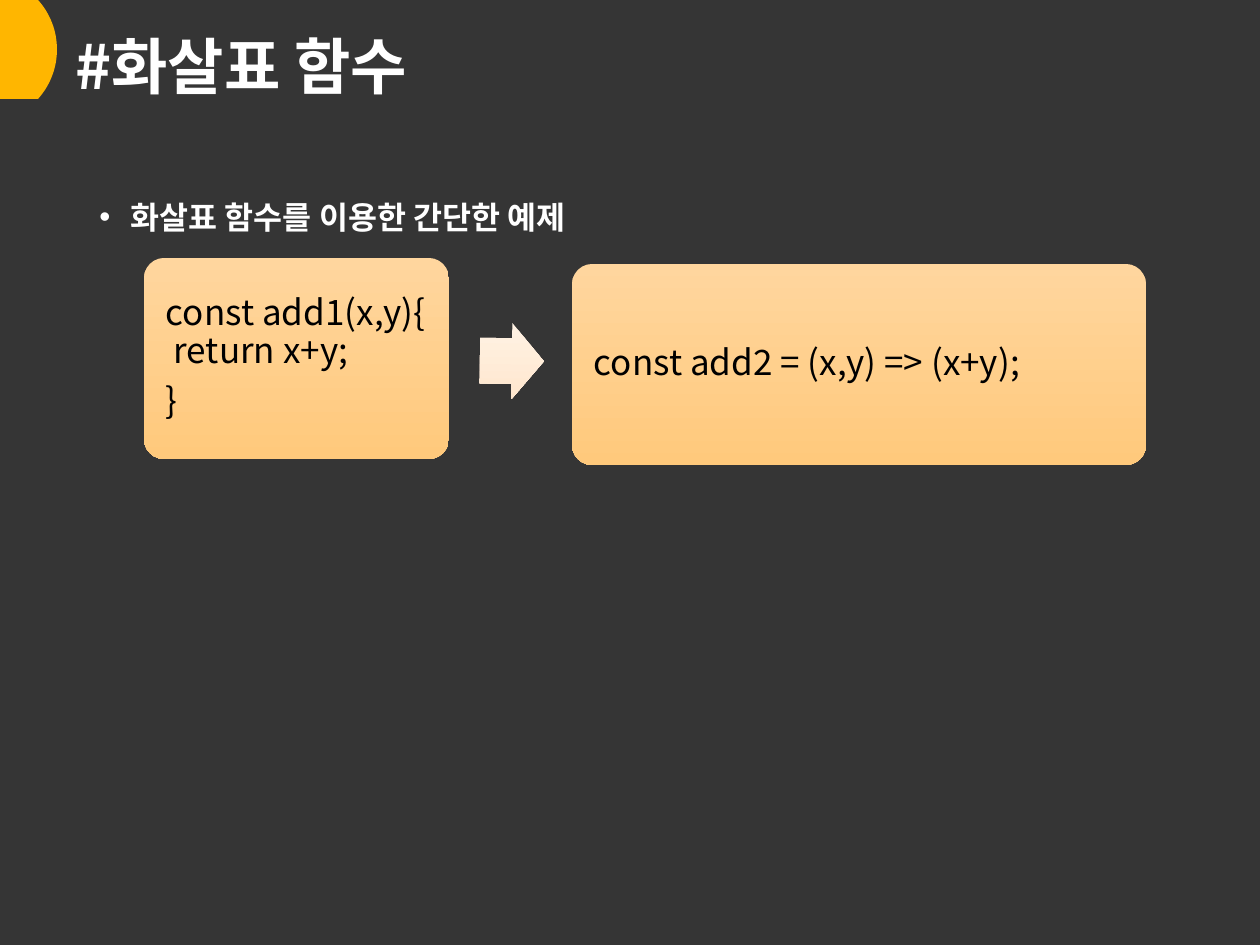
from math import asin, cos, sin

from lxml.etree import SubElement
from pptx import Presentation
from pptx.dml.color import RGBColor
from pptx.enum.shapes import MSO_SHAPE
from pptx.enum.text import MSO_ANCHOR, PP_ALIGN
from pptx.oxml.ns import qn
from pptx.util import Emu, Pt

FONT = "Noto Sans CJK KR"
COLORS = {
    "background": "353535", "accent": "FFB600", "light": "FFFFFF", "code": "000000",
    "box_top": "FFD69E", "box_bottom": "FFC97C",
    "arrow_top": "FFF2E4", "arrow_bottom": "FFE7CE",
}


def px(n):
    """Turn slide pixels into EMU."""
    return Emu(round(n * 914400 / 126))


def rgb(name):
    """Look up a named colour."""
    return RGBColor.from_string(COLORS[name])


def add_run(p, text, size, color, bold=False):
    """Append a styled run to a paragraph."""
    r = p.add_run()
    r.text = text
    r.font.size = Pt(size)
    r.font.name = FONT
    r.font.bold = bold
    r.font.color.rgb = rgb(color)
    SubElement(r.font._element, qn("a:ea")).set("typeface", FONT)


def add_text_box(s, x, y, w, h):
    """Add a wrapping text box and return its first paragraph."""
    tf = s.shapes.add_textbox(px(x), px(y), px(w), px(h)).text_frame
    tf.word_wrap = True
    return tf.paragraphs[0]


def add_gradient_shape(s, kind, x, y, w, h, top, bottom):
    """Add a borderless shape shaded from top to bottom."""
    sp = s.shapes.add_shape(kind, px(x), px(y), px(w), px(h))
    sp.shadow.inherit = False
    sp.line.fill.background()
    sp.fill.gradient()
    sp.fill.gradient_angle = 270
    for stop, color in zip(sp.fill.gradient_stops, (top, bottom)):
        stop.color.rgb = rgb(color)
    return sp


def add_corner_disc(s, x, y, w, h, radius):
    """Add a disc cut off by the left and top edges of its box."""
    cx, cy = x + w - radius, y + h / 2
    limit = asin(h / 2 / radius)
    angles = [limit * (i / 16 - 1) for i in range(33)]
    arc = [(px(cx + radius * cos(a)), px(cy + radius * sin(a))) for a in angles]
    builder = s.shapes.build_freeform(px(x), px(y))
    builder.add_line_segments(arc + [(px(x), px(y + h))], close=True)
    sp = builder.convert_to_shape()
    sp.shadow.inherit = False
    sp.fill.solid()
    sp.fill.fore_color.rgb = rgb("accent")
    sp.line.fill.background()


def add_title(s, x, y, w, h, text):
    """Add the slide title."""
    p = add_text_box(s, x, y, w, h)
    p.line_spacing = 0.9
    add_run(p, text, 35, "light", True)


def add_bullet(s, x, y, w, h, text):
    """Add the bulleted lead sentence."""
    p = add_text_box(s, x, y, w, h)
    p.line_spacing = 1.5
    p.space_before = Pt(10)
    pPr = p._p.get_or_add_pPr()
    pPr.set("marL", "228600")
    pPr.set("indent", "-228600")
    SubElement(pPr, qn("a:buFont")).set("typeface", "Arial")
    SubElement(pPr, qn("a:buChar")).set("char", "•")
    add_run(p, text, 18, "light", True)


def add_code_box(s, x, y, w, h, paragraphs):
    """Add a rounded box of code, given as paragraphs of lines."""
    sp = add_gradient_shape(s, MSO_SHAPE.ROUNDED_RECTANGLE, x, y, w, h, "box_top", "box_bottom")
    sp.adjustments[0] = 0.1
    tf = sp.text_frame
    tf.word_wrap = True
    tf.vertical_anchor = MSO_ANCHOR.MIDDLE
    tf.margin_left = tf.margin_right = tf.margin_top = tf.margin_bottom = px(16)
    for i, lines in enumerate(paragraphs):
        p = tf.add_paragraph() if i else tf.paragraphs[0]
        p.alignment = PP_ALIGN.LEFT
        p.line_spacing = 0.9
        p.space_after = Pt(7)
        for j, line in enumerate(lines):
            if j:
                p.add_line_break()
            add_run(p, line, 20, "code")


def add_code_flow(s, x, y):
    """Add the two code boxes and the arrow between them."""
    add_code_box(s, x, y, 305, 201, [["const add1(x,y){", " return x+y;"], ["}"]])
    arrow = add_gradient_shape(
        s, MSO_SHAPE.RIGHT_ARROW, x + 336, y + 65, 64, 76, "arrow_top", "arrow_bottom")
    arrow.adjustments[0] = 0.6
    arrow.rotation = 0.6
    add_code_box(s, x + 428, y + 6, 574, 201, [["const add2 = (x,y) => (x+y);"]])


def main():
    """Build and save the slide."""
    prs = Presentation()
    prs.slide_width, prs.slide_height = px(1260), px(945)
    s = prs.slides.add_slide(prs.slide_layouts[6])
    s.background.fill.solid()
    s.background.fill.fore_color.rgb = rgb("background")
    add_corner_disc(s, 0, 0, 57, 99, 74)
    add_title(s, 63, 30, 781, 146, "#화살표 함수")
    add_bullet(s, 87, 173, 1086, 101, "화살표 함수를 이용한 간단한 예제")
    add_code_flow(s, 144, 258)
    prs.save("out.pptx")


if __name__ == "__main__":
    main()
